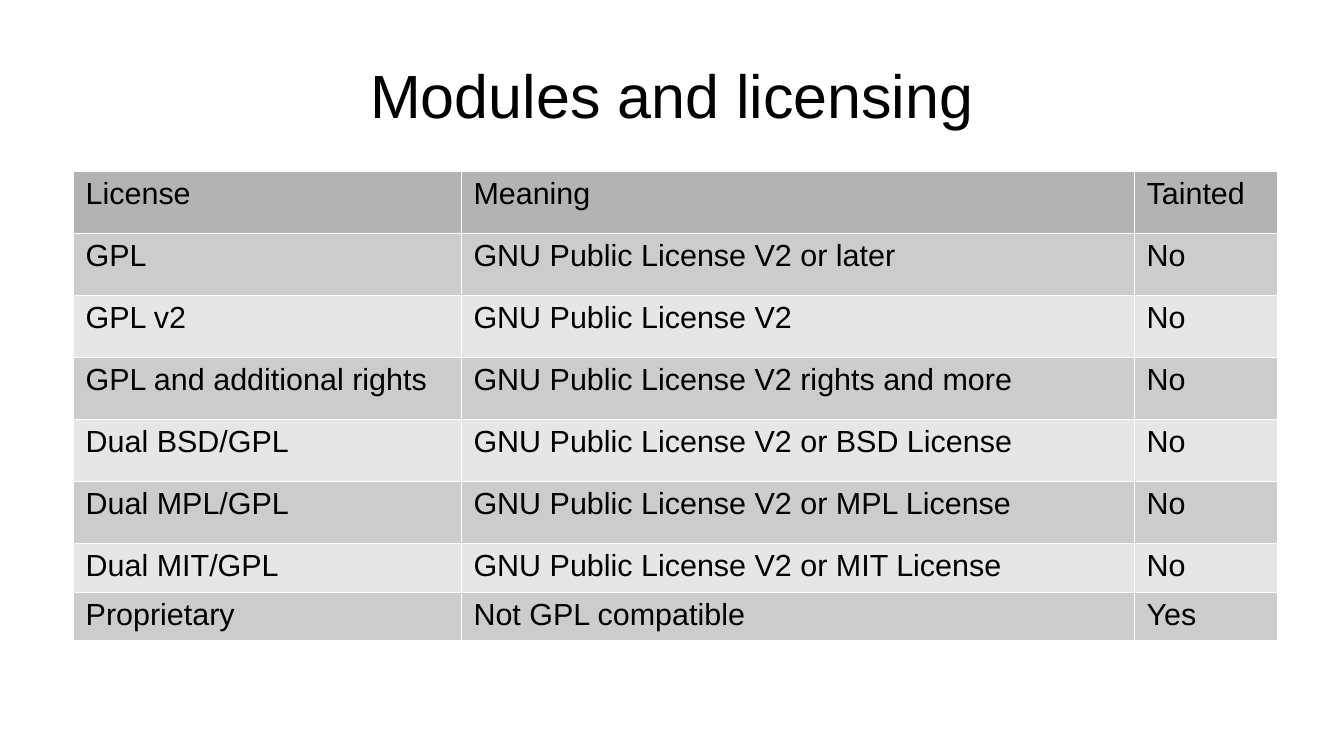
from lxml.etree import SubElement
from pptx import Presentation
from pptx.dml.color import RGBColor
from pptx.enum.text import MSO_ANCHOR as Anchor, PP_ALIGN as Align
from pptx.oxml.ns import qn
from pptx.util import Pt

BLACK, WHITE = "000000", "FFFFFF"
HEADER_GRAY, ODD_GRAY, EVEN_GRAY = "B3B3B3", "CCCCCC", "E6E6E6"

COLUMN_WIDTHS = [229, 397.4, 84.2]
ROW_HEIGHTS = [36.6] * 6 + [28.6] * 2
LICENSES = [
    ("License", "Meaning", "Tainted"),
    ("GPL", "GNU Public License V2 or later", "No"),
    ("GPL v2", "GNU Public License V2", "No"),
    ("GPL and additional rights", "GNU Public License V2 rights and more", "No"),
    ("Dual BSD/GPL", "GNU Public License V2 or BSD License", "No"),
    ("Dual MPL/GPL", "GNU Public License V2 or MPL License", "No"),
    ("Dual MIT/GPL", "GNU Public License V2 or MIT License", "No"),
    ("Proprietary", "Not GPL compatible", "Yes"),
]


def color(hex_string):
    return RGBColor.from_string(hex_string)


def set_text(frame, text, size):
    frame.text = text
    font = frame.paragraphs[0].runs[0].font
    font.name, font.size = "Arial", Pt(size)
    font.color.rgb = color(BLACK)


def add_cell_borders(cell, hex_string, width):
    """Draw all four borders; they must precede the cell's fill in the XML."""
    properties = cell._tc.get_or_add_tcPr()
    for side in ("a:lnL", "a:lnR", "a:lnT", "a:lnB"):
        line = SubElement(properties, qn(side), w=str(Pt(width)))
        solid = SubElement(line, qn("a:solidFill"))
        SubElement(solid, qn("a:srgbClr"), val=hex_string)


def add_title(slide, text, left, top, width, height):
    title = slide.shapes.add_textbox(Pt(left), Pt(top), Pt(width), Pt(height))
    frame = title.text_frame
    frame.word_wrap = True
    frame.vertical_anchor = Anchor.MIDDLE
    frame.margin_left = frame.margin_right = 0
    frame.margin_top = frame.margin_bottom = 0
    set_text(frame, text, 36)
    frame.paragraphs[0].alignment = Align.CENTER


def add_license_table(slide, left, top):
    table = slide.shapes.add_table(
        len(LICENSES), len(COLUMN_WIDTHS), Pt(left), Pt(top),
        Pt(sum(COLUMN_WIDTHS)), Pt(sum(ROW_HEIGHTS))).table
    for column, width in zip(table.columns, COLUMN_WIDTHS):
        column.width = Pt(width)
    for index, (row, height, entries) in enumerate(
            zip(table.rows, ROW_HEIGHTS, LICENSES)):
        row.height = Pt(height)
        band = ODD_GRAY if index % 2 else EVEN_GRAY
        for cell, entry in zip(row.cells, entries):
            set_text(cell.text_frame, entry, 18)
            add_cell_borders(cell, WHITE, 0.06)
            cell.fill.solid()
            cell.fill.fore_color.rgb = color(band if index else HEADER_GRAY)


def main():
    deck = Presentation()
    deck.slide_width, deck.slide_height = Pt(793.5), Pt(446.4)
    slide = deck.slides.add_slide(deck.slide_layouts[6])
    add_title(slide, "Modules and licensing", 39.6, 18, 714.2, 74.9)
    add_license_table(slide, 43.4, 101)
    deck.save("out.pptx")


if __name__ == "__main__":
    main()
